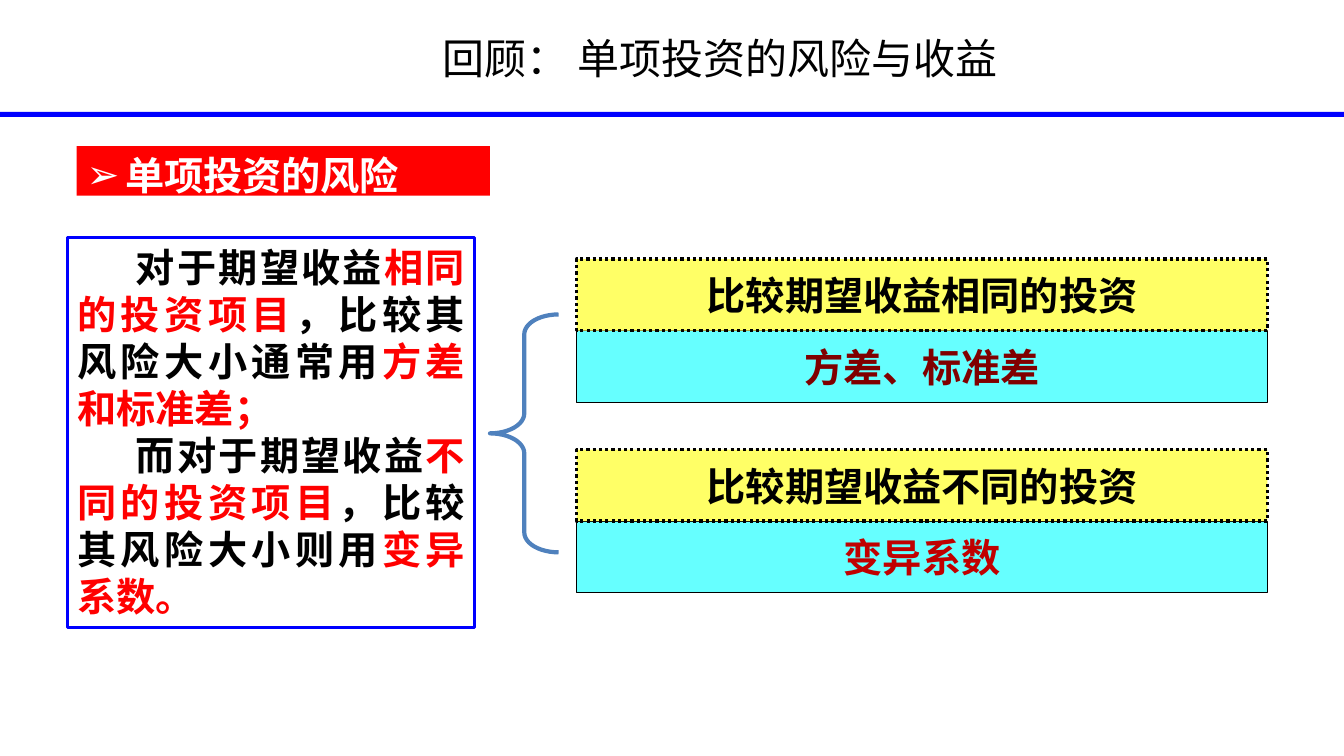
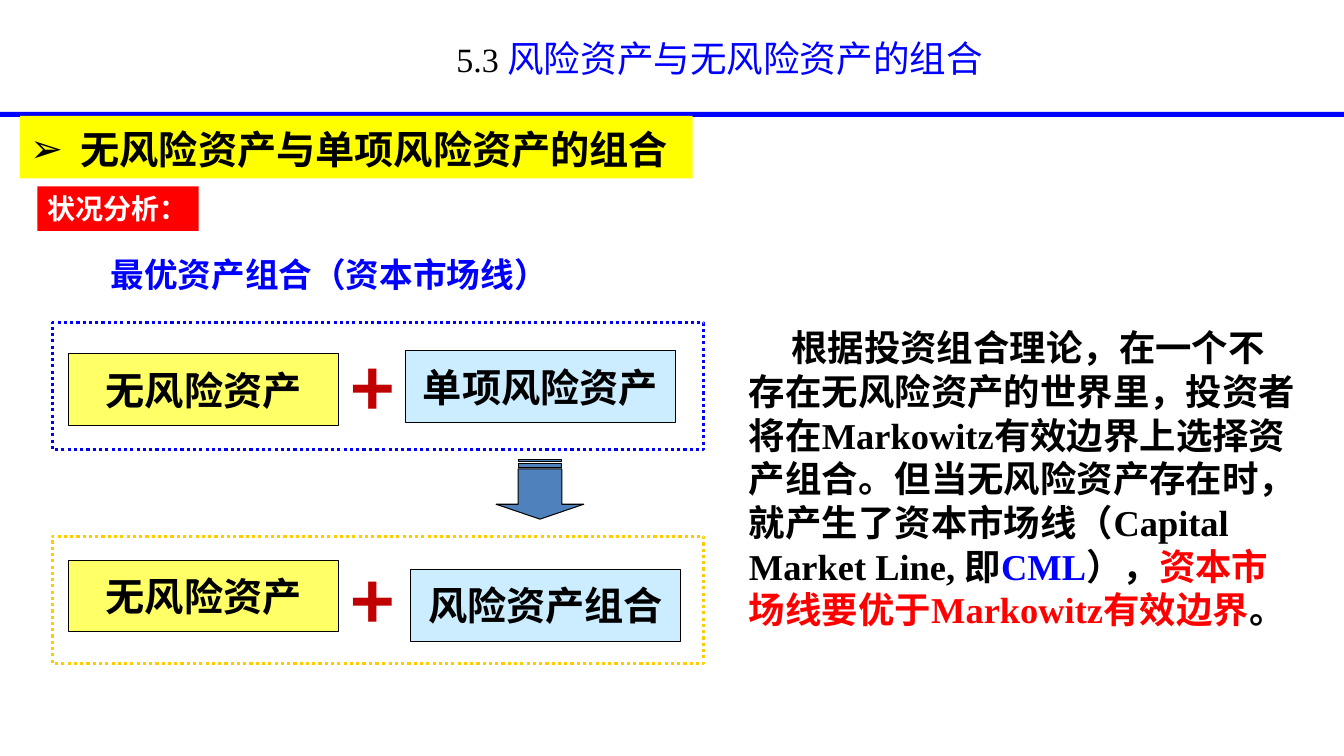
from lxml.etree import SubElement
from pptx import Presentation
from pptx.dml.color import RGBColor
from pptx.enum.dml import MSO_LINE
from pptx.enum.shapes import MSO_SHAPE
from pptx.enum.text import MSO_ANCHOR, MSO_AUTO_SIZE, PP_ALIGN
from pptx.oxml.ns import qn
from pptx.util import Inches, Pt

BLACK = RGBColor(0x00, 0x00, 0x00)
WHITE = RGBColor(0xFF, 0xFF, 0xFF)
BLUE = RGBColor(0x00, 0x00, 0xFF)
RED = RGBColor(0xFF, 0x00, 0x00)
DARK_RED = RGBColor(0xC0, 0x00, 0x00)
MAROON = RGBColor(0x80, 0x00, 0x00)
YELLOW = RGBColor(0xFF, 0xFF, 0x00)
PALE_YELLOW = RGBColor(0xFF, 0xFF, 0x66)
GOLD = RGBColor(0xFF, 0xCC, 0x00)
CYAN = RGBColor(0x66, 0xFF, 0xFF)
PALE_BLUE = RGBColor(0xCC, 0xEC, 0xFF)
STEEL = RGBColor(0x4F, 0x81, 0xBD)

SANS = "Noto Sans CJK SC"
SERIF = "Times New Roman"
BOX_HEIGHT = 0.71


# Shared helpers
def place(shape, left, top, width, height):
    shape.left, shape.top = Inches(left), Inches(top)
    shape.width, shape.height = Inches(width), Inches(height)


def add_run(paragraph, text, size, color=BLACK, font=SANS, bold=True):
    run = paragraph.add_run()
    run.text = text
    run.font.name = font
    run.font.size = Pt(size)
    run.font.bold = bold
    run.font.color.rgb = color
    SubElement(run._r.get_or_add_rPr(), qn("a:ea"), typeface=SANS)


def add_box(slide, box, fill=None, line=None, width=0.75, dash=None, preset=MSO_SHAPE.RECTANGLE):
    shape = slide.shapes.add_shape(preset, *map(Inches, box))
    shape.shadow.inherit = False
    if fill is None:
        shape.fill.background()
    else:
        shape.fill.solid()
        shape.fill.fore_color.rgb = fill
    if line is None:
        shape.line.fill.background()
    else:
        shape.line.color.rgb = line
        shape.line.width = Pt(width)
        shape.line.dash_style = dash
    return shape


def add_label(slide, box, text, fill, color=BLACK, **line_style):
    """Bordered box with one centred line of text."""
    shape = add_box(slide, box, fill, BLACK, **line_style)
    shape.text_frame.word_wrap = False
    shape.text_frame.vertical_anchor = MSO_ANCHOR.MIDDLE
    paragraph = shape.text_frame.paragraphs[0]
    paragraph.alignment = PP_ALIGN.CENTER
    add_run(paragraph, text, 28, color)


def add_text(slide, box, wrap=True):
    text_box = slide.shapes.add_textbox(*map(Inches, box))
    text_box.text_frame.word_wrap = wrap
    return text_box.text_frame.paragraphs[0]


def indent(paragraph, first_line, margin=0):
    properties = paragraph._p.get_or_add_pPr()
    properties.set("marL", str(Inches(margin)))
    properties.set("indent", str(Inches(first_line)))
    return properties


# Slide furniture
def set_up_master(presentation, slide):
    master = presentation.slide_master
    rule = add_box(slide, (0, 1.11, 13.33, 0.05), BLUE)
    master.shapes.element.append(rule.element)
    place(master.placeholders[0], 3.44, 0.18, 7.4, 0.78)


def add_title(slide, runs):
    paragraph = slide.shapes.title.text_frame.paragraphs[0]
    paragraph.alignment = PP_ALIGN.CENTER
    for text, size, color in runs:
        add_run(paragraph, text, size, color, SERIF, bold=False)


def add_section_heading(slide, box, text, fill, color, hanging, spacing=1.0):
    body = slide.placeholders[1]
    place(body, *box)
    body.fill.solid()
    body.fill.fore_color.rgb = fill
    body.text_frame.auto_size = MSO_AUTO_SIZE.NONE
    paragraph = body.text_frame.paragraphs[0]
    paragraph.space_before = Pt(0)
    paragraph.line_spacing = spacing
    SubElement(indent(paragraph, -hanging, hanging), qn("a:buChar"), char="➢")
    add_run(paragraph, text, 28, color)


# Slide 1 regions
def add_explanation(slide, box):
    frame = add_box(slide, box, line=BLUE, width=2.25).text_frame
    frame.word_wrap = True
    frame.vertical_anchor = MSO_ANCHOR.TOP
    passages = (
        ("对于期望收益", "相同的投资项目", "，比较其风险大小通常用", "方差和标准差；"),
        ("而对于期望收益", "不同的投资项目", "，比较其风险大小则用", "变异系数。"),
    )
    for index, passage in enumerate(passages):
        paragraph = frame.add_paragraph() if index else frame.paragraphs[0]
        paragraph.alignment = PP_ALIGN.JUSTIFY
        indent(paragraph, 0.58)
        for position, text in enumerate(passage):
            add_run(paragraph, text, 28, RED if position % 2 else BLACK)


def add_measure(slide, left, top, question, answer, answer_color):
    width = 6.85
    add_label(slide, (left, top + BOX_HEIGHT, width, BOX_HEIGHT), answer, CYAN, answer_color)
    add_label(slide, (left, top, width, BOX_HEIGHT), question, PALE_YELLOW,
              width=2.25, dash=MSO_LINE.ROUND_DOT)


def build_review(slide):
    add_title(slide, [("回顾： 单项投资的风险与收益", 30, BLACK)])
    add_section_heading(slide, (0.76, 1.45, 4.1, 0.49), "单项投资的风险", RED, WHITE, 0.38)
    brace = add_box(slide, (4.86, 3.12, 0.68, 2.36), line=STEEL, width=3,
                    preset=MSO_SHAPE.LEFT_BRACE)
    brace.adjustments[0] = 0.29
    add_measure(slide, 5.72, 2.57, "比较期望收益相同的投资", "方差、标准差", MAROON)
    add_measure(slide, 5.72, 4.46, "比较期望收益不同的投资", "变异系数", DARK_RED)
    add_explanation(slide, (0.67, 2.36, 4.04, 3.87))


# Slide 2 regions
def add_combination(slide, left, top, frame_color, safe_top, risky_text, risky_left, risky_top):
    """Dotted frame holding the sum of a risk-free and a risky asset."""
    add_box(slide, (left, top, 6.46, 1.26), line=frame_color, width=2.25,
            dash=MSO_LINE.ROUND_DOT)
    add_label(slide, (left + 0.16, top + safe_top, 2.68, BOX_HEIGHT), "无风险资产", PALE_YELLOW)
    add_label(slide, (left + risky_left, top + risky_top, 2.68, BOX_HEIGHT),
              risky_text, PALE_BLUE)
    plus = add_text(slide, (left + 2.82, top + 0.14, 0.71, 1))
    plus.alignment = PP_ALIGN.CENTER
    add_run(plus, "+", 54, DARK_RED)


def add_down_arrow(slide, box):
    arrow = add_box(slide, box, STEEL, BLACK, preset=MSO_SHAPE.STRIPED_RIGHT_ARROW)
    arrow.rotation = 90
    arrow.adjustments[1] = 0.25


def add_theory(slide, box):
    paragraph = add_text(slide, box)
    indent(paragraph, 0.42)
    for text, color in (
        ("根据投资组合理论，在一个不存在无风险资产的世界里，投资者将在Markowitz有效边界上"
         "选择资产组合。但当无风险资产存在时，就产生了资本市场线（Capital Market Line, 即", BLACK),
        ("CML", BLUE),
        ("），", BLACK),
        ("资本市场线要优于Markowitz有效边界", RED),
        ("。", BLACK),
    ):
        add_run(paragraph, text, 26, color, SERIF)


def build_combination(slide):
    add_title(slide, [("5.3 ", 24.3, BLACK), ("风险资产与无风险资产的组合", 26.1, BLUE)])
    add_section_heading(slide, (0.2, 1.15, 6.67, 0.62), "无风险资产与单项风险资产的组合",
                        YELLOW, BLACK, 0.5, 1.1)
    tag = add_box(slide, (0.37, 1.85, 1.6, 0.44), RED).text_frame
    tag.word_wrap = False
    tag.vertical_anchor = MSO_ANCHOR.TOP
    tag.paragraphs[0].alignment = PP_ALIGN.LEFT
    add_run(tag.paragraphs[0], "状况分析：", 20, WHITE, "Calibri")
    add_run(add_text(slide, (1, 2.47, 4.6, 0.5), wrap=False),
            "最优资产组合（资本市场线）", 24, BLUE, SERIF)
    add_combination(slide, 0.52, 3.2, BLUE, 0.31, "单项风险资产", 3.5, 0.28)
    add_down_arrow(slide, (5.06, 4.42, 0.59, 0.87))
    add_combination(slide, 0.52, 5.32, GOLD, 0.24, "风险资产组合", 3.55, 0.33)
    add_theory(slide, (7.33, 3.18, 5.64, 3.6))


def main():
    presentation = Presentation()
    presentation.slide_width, presentation.slide_height = Inches(13.33), Inches(7.5)
    layout = presentation.slide_layouts[1]
    review, combination = (presentation.slides.add_slide(layout) for _ in range(2))
    set_up_master(presentation, review)
    build_review(review)
    build_combination(combination)
    presentation.save("out.pptx")


if __name__ == "__main__":
    main()
